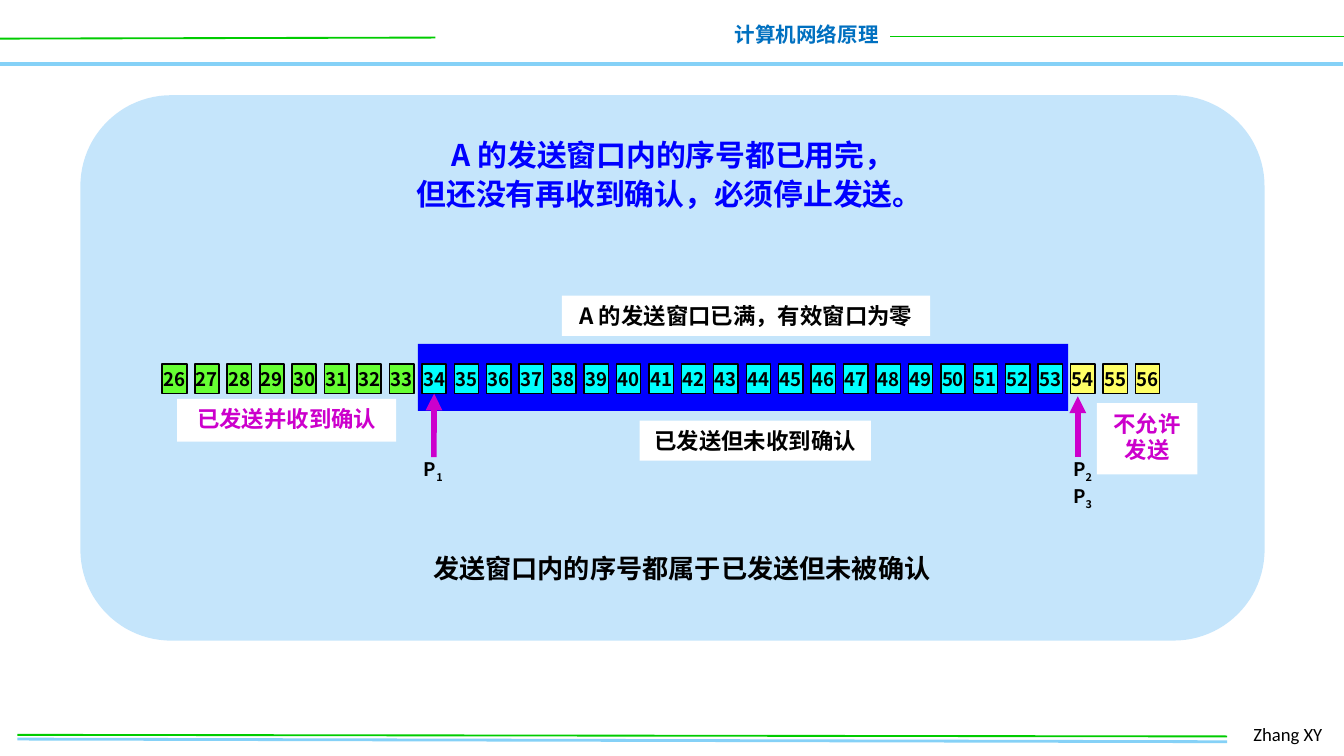
from dataclasses import dataclass

from lxml.etree import SubElement
from pptx import Presentation
from pptx.dml.color import RGBColor
from pptx.enum.shapes import MSO_CONNECTOR, MSO_SHAPE
from pptx.enum.text import MSO_ANCHOR, MSO_AUTO_SIZE, PP_ALIGN
from pptx.oxml.ns import qn
from pptx.util import Cm, Pt


@dataclass(frozen=True)
class Theme:
    font: str = "Noto Sans CJK SC"
    footer_font: str = "Calibri"
    black: str = "000000"
    white: str = "FFFFFF"
    sky: str = "85D1F7"
    green: str = "00CC00"
    header: str = "0070C0"
    panel: str = "C5E5FB"
    blue: str = "0000FF"
    purple: str = "CC00CC"
    confirmed: str = "66FF33"
    pending: str = "00FFFF"
    blocked: str = "FFFF66"
    title_size: int = 16
    summary_size: int = 14
    label_size: int = 12
    header_size: int = 11
    small_size: int = 10


def write_text(box, text, size, color=Theme.black, font=Theme.font, bold=True,
               align=PP_ALIGN.CENTER, anchor=MSO_ANCHOR.TOP, wrap=False,
               spacing=None, subscript=None):
    frame = box.text_frame
    frame.word_wrap = wrap
    frame.auto_size = MSO_AUTO_SIZE.NONE
    frame.vertical_anchor = anchor
    for index, line in enumerate(text.split("\n")):
        para = frame.add_paragraph() if index else frame.paragraphs[0]
        para.alignment = align
        if spacing:
            para.line_spacing = spacing
        for part in filter(None, (line, subscript)):
            span = para.add_run()
            span.text = part
            span.font.size = Pt(size)
            span.font.bold = bold
            span.font.color.rgb = RGBColor.from_string(color)
            span.font.name = font
            properties = span.font._element
            SubElement(properties, qn("a:ea")).set("typeface", font)
            if part is subscript:
                properties.set("baseline", "-25000")


class SlideBuilder:
    def __init__(self, page, theme):
        self.page = page
        self.theme = theme

    def line(self, start, end, color, width, arrow=False):
        points = [Cm(value) for value in (*start, *end)]
        connector = self.page.shapes.add_connector(MSO_CONNECTOR.STRAIGHT, *points)
        connector.line.color.rgb = RGBColor.from_string(color)
        connector.line.width = Pt(width)
        if arrow:
            SubElement(connector.line._get_or_add_ln(), qn("a:tailEnd")).set("type", "triangle")
        SubElement(connector._element.spPr, qn("a:effectLst"))
        return connector

    def shape(self, place, fill, outline=None, kind=MSO_SHAPE.RECTANGLE):
        shape = self.page.shapes.add_shape(kind, *(Cm(value) for value in place))
        shape.shadow.inherit = False
        shape.fill.solid()
        shape.fill.fore_color.rgb = RGBColor.from_string(fill)
        if outline:
            shape.line.color.rgb = RGBColor.from_string(self.theme.black)
            shape.line.width = Pt(outline)
        else:
            shape.line.fill.background()
        return shape

    def text(self, place, text, size, **style):
        box = self.page.shapes.add_textbox(*(Cm(value) for value in place))
        write_text(box, text, size, **style)

    def label(self, place, text, color):
        box = self.shape(place, self.theme.white)
        write_text(box, text, self.theme.label_size, color=color)

    def cell(self, left, number, fill, outline):
        box = self.shape((left, 6.88, 0.46, 0.56), fill, outline)
        write_text(box, str(number), self.theme.small_size, anchor=MSO_ANCHOR.MIDDLE)
        return box

    def pointer(self, center):
        return self.line((center, 8.64), (center, 7.49), self.theme.purple, 3, arrow=True)

    def pointer_name(self, left, top, subscript):
        self.text((left, top, 0.9, 0.7), "P", self.theme.small_size, subscript=subscript)


def main():
    theme = Theme()
    deck = Presentation()
    deck.slide_width, deck.slide_height = Cm(25.4), Cm(14.29)
    page = deck.slides.add_slide(deck.slide_layouts[6])
    builder = SlideBuilder(page, theme)

    builder.line((0, 1.21), (25.38, 1.21), theme.sky, 2)
    builder.line((0, 0.73), (8.23, 0.71), theme.green, 1)
    builder.text((13.61, 0.3, 3.25, 0.74), "计算机网络原理", theme.header_size,
                 color=theme.header, align=PP_ALIGN.RIGHT)
    builder.line((16.82, 0.69), (25.4, 0.69), theme.green, 1)
    builder.line((0.33, 13.97), (23.19, 14.02), theme.sky, 1.5)
    builder.text((23.44, 13.54, 1.88, 0.69), "Zhang XY", theme.small_size,
                 font=theme.footer_font, bold=False, align=PP_ALIGN.LEFT, wrap=True)
    builder.line((0.33, 13.89), (23.19, 13.92), theme.green, 1)

    builder.shape((1.52, 1.8, 22.38, 10.31), theme.panel, kind=MSO_SHAPE.ROUNDED_RECTANGLE)
    builder.text((7.52, 2.39, 10.41, 1.75),
                 "A 的发送窗口内的序号都已用完，\n但还没有再收到确认，必须停止发送。 ",
                 theme.title_size, color=theme.blue, wrap=True, spacing=1.1)
    builder.label((12.09, 7.95, 4.37, 0.76), "已发送但未收到确认", theme.black)
    builder.label((10.62, 5.59, 6.96, 0.76), "A 的发送窗口已满，有效窗口为零", theme.black)
    builder.shape((7.9, 6.5, 12.29, 1.27), theme.blue)

    first, last = 26, 56
    first_left, last_left = 3.07, 21.46
    pitch = (last_left - first_left) / (last - first)
    groups = (
        (range(first, 34), theme.confirmed, 1),
        (range(34, 54), theme.pending, 0.75),
        (range(54, last + 1), theme.blocked, 0.75),
    )
    cells = {}
    for numbers, fill, outline in groups:
        for number in numbers:
            left = first_left + (number - first) * pitch
            cells[number] = builder.cell(left, number, fill, outline)

    builder.label((3.35, 7.54, 4.14, 0.81), "已发送并收到确认", theme.purple)
    builder.label((20.73, 7.62, 1.9, 1.35), "不允许\n发送", theme.purple)

    builder.pointer(8.2).end_connect(cells[34], 2)
    builder.pointer(20.37)
    builder.pointer_name(7.74, 8.53, "1")
    builder.pointer_name(20.01, 8.53, "2")
    builder.pointer_name(20.01, 9.04, "3")
    builder.text((7.9, 10.31, 9.98, 0.86), "发送窗口内的序号都属于已发送但未被确认",
                 theme.summary_size)

    deck.save("out.pptx")


if __name__ == "__main__":
    main()
